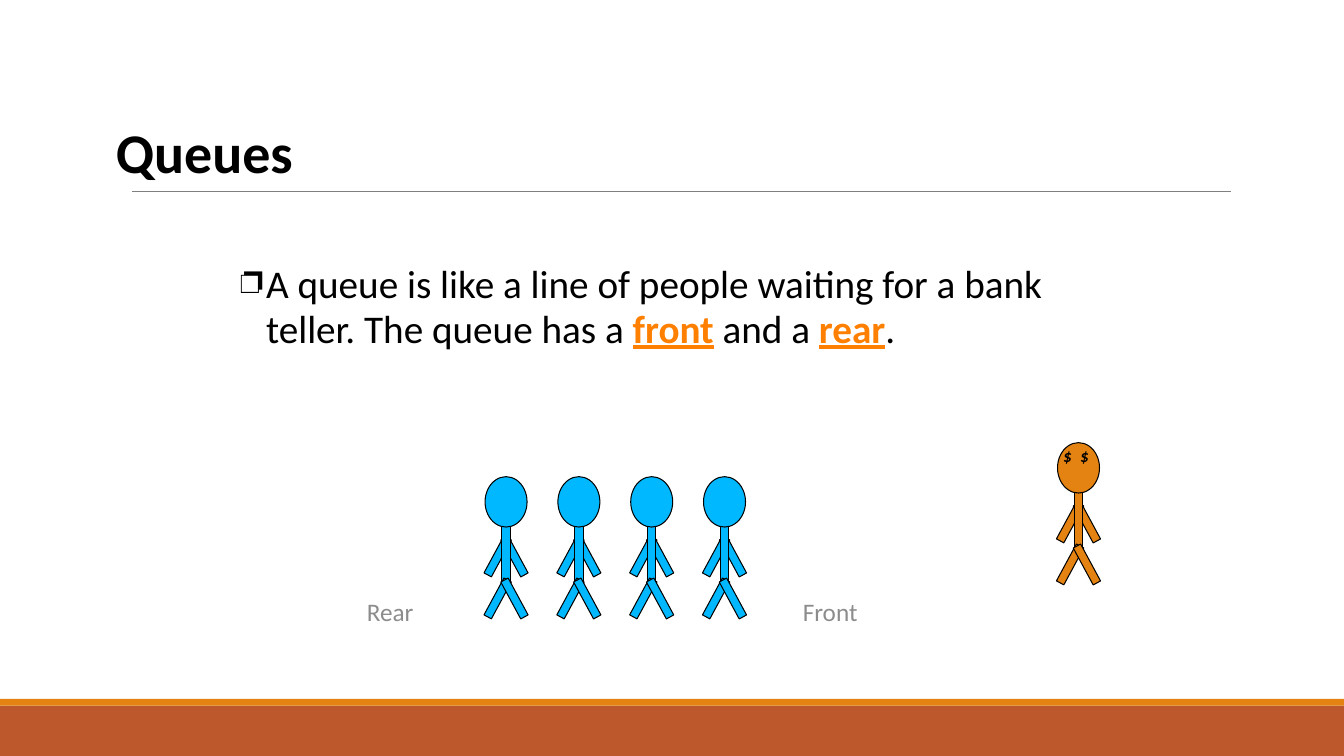
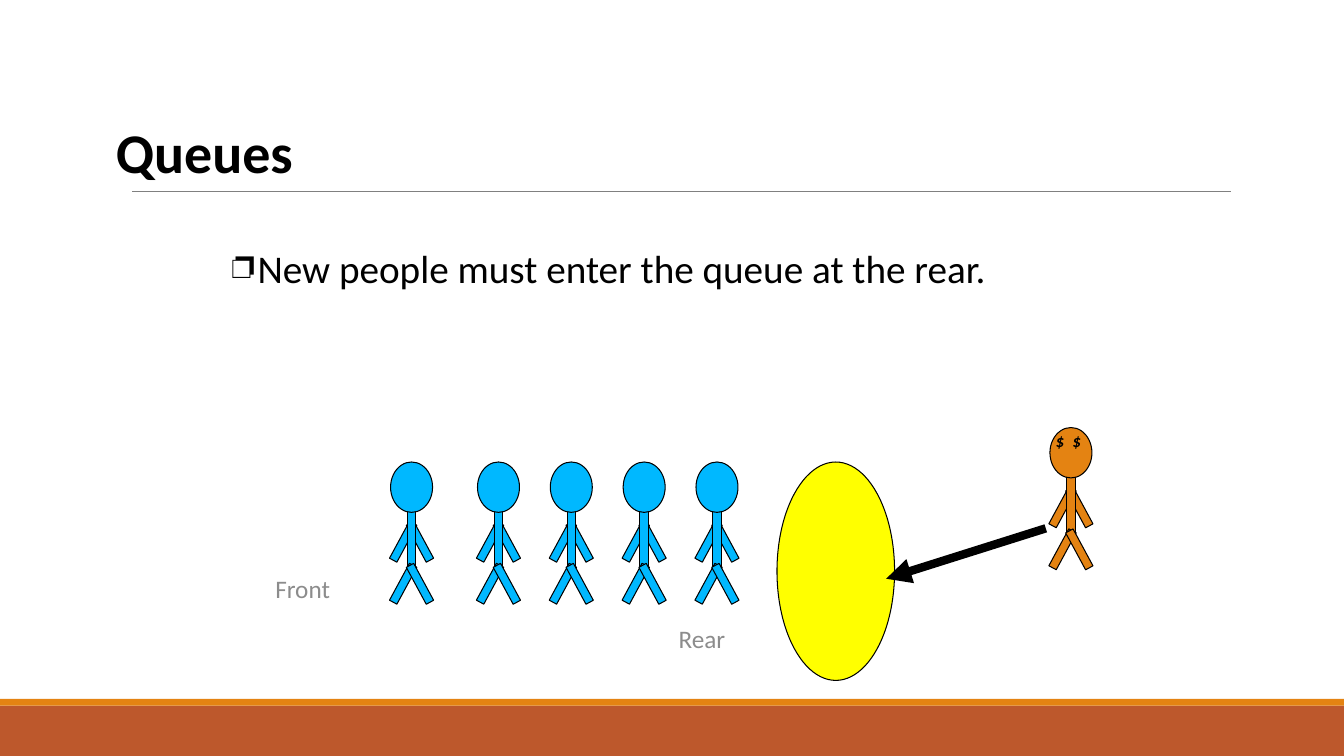
from lxml import etree
from pptx import Presentation, util as u
from pptx.dml.color import RGBColor
from pptx.enum import shapes, text
from pptx.oxml.ns import qn

# Grid of 160 columns by 90 rows; one cell is a twelfth of an inch
CELL = u.Inches(1) // 12
COLS, ROWS = 160, 90
RECT, OVAL = shapes.MSO_SHAPE.RECTANGLE, shapes.MSO_SHAPE.OVAL
hue = RGBColor.from_string
BLACK, GREY, RULE = "000000", "8C8C8C", "808080"
BLUE, GOLD, RUST, SUN, MARK = "00B8FF", "E48312", "BD582C", "FFFF00", "FF8000"

TITLE = {"size": u.Pt(40), "bold": True}
BODY = {"size": u.Pt(28)}
KEY = {"bold": True, "underline": True}
LABEL = {"size": u.Pt(18)}
EYES = {"size": u.Pt(12), "bold": True, "italic": True}

# Limbs, trunk and head, in cells from the head's top left corner
LEAN = 28.4
BONES = [
    (RECT, 1, 7, 1, 5, LEAN), (RECT, 3, 7, 1, 5, -LEAN),
    (RECT, 2, 5, 1, 8, 0), (OVAL, 0, 0, 5, 6, 0),
    (RECT, 1, 12, 1, 5, LEAN), (RECT, 3, 12, 1, 5, -LEAN),
]
STEP = 8.67

SLIDES = [
    {
        "body": (27.5, 30.7, 105, 12),
        "runs": [("A queue is like a line of people waiting for a bank teller. "
                  "The queue has a ", BLACK, {}), ("front", MARK, KEY),
                 (" and a ", BLACK, {}), ("rear", MARK, KEY), (".", BLACK, {})],
        "line": [57.75 + STEP * n for n in range(4)], "top": 56.75,
        "new": (125.9, 52.7),
        "tags": [("Front", 94.4, 70.7, 9.6), ("Rear", 42.5, 70.7, 8.3)],
    },
    {
        "body": (26.5, 28.9, 108, 24),
        "runs": [("New people must enter the queue at the rear.", BLACK, {})],
        "line": [46.5] + [56.85 + STEP * n for n in range(4)], "top": 55,
        "new": (125, 50.9),
        "tags": [("Front", 31.6, 67.9, 9.6), ("Rear", 79.6, 73.9, 8.3)],
        "spot": (92.5, 55, 14, 26),
        "arrow": (124.5, 62.9, 105.5, 68.9),
    },
]


def draw(place, kind, box, fill, edge=True):
    form = place.shapes.add_shape(kind, *[round(CELL * n) for n in box])
    form.shadow.inherit = False
    form.fill.solid()
    form.fill.fore_color.rgb = hue(fill)
    if edge:
        form.line.color.rgb = hue(BLACK)
        form.line.width = u.Pt(0.75)
    else:
        form.line.fill.background()
    return form


def write(place, box, runs, base, space=0.95, wrap=True):
    """Add a text box of (words, colour, format) runs; return its paragraph."""
    frame = place.shapes.add_textbox(*[round(CELL * n) for n in box]).text_frame
    frame.word_wrap = wrap
    para = frame.paragraphs[0]
    para.line_spacing = space
    for words, tint, extra in runs:
        run = para.add_run()
        run.text = words
        run.font.name = "Calibri"
        run.font.color.rgb = hue(tint)
        for name, value in {**base, **extra}.items():
            setattr(run.font, name, value)
    return para


deck = Presentation()
deck.slide_width, deck.slide_height = CELL * COLS, CELL * ROWS

for data in SLIDES:
    page = deck.slides.add_slide(deck.slide_layouts[6])
    draw(page, RECT, (0, 84, COLS, 6), RUST, edge=False)
    draw(page, RECT, (0, 83.2, COLS, 0.8), GOLD, edge=False)
    head = write(page, (12.6, 10.6, 134.8, 16), [("Queues", BLACK, {})], TITLE, 0.85)
    head._parent.vertical_anchor = text.MSO_ANCHOR.MIDDLE

    if "spot" in data:
        draw(page, OVAL, data["spot"], SUN)

    para = write(page, data["body"], data["runs"], BODY)
    props = para._p.get_or_add_pPr()
    props.set("marL", str(CELL * 3))
    props.set("indent", str(CELL * -3))
    etree.SubElement(props, qn("a:buChar")).set("char", "❐")

    crowd = [(left, data["top"], BLUE) for left in data["line"]]
    for left, top, tint in crowd + [(*data["new"], GOLD)]:
        man = page.shapes.add_group_shape()
        for kind, x, y, wide, high, turn in BONES:
            draw(man, kind, (left + x, top + y, wide, high), tint).rotation = turn
        if tint == GOLD:
            eyes = write(man, (left - 0.5, top, 6, 6), [("$\t$", BLACK, {})], EYES)
            tabs = etree.SubElement(eyes._p.get_or_add_pPr(), qn("a:tabLst"))
            stop = etree.SubElement(tabs, qn("a:tab"))
            stop.set("pos", str(CELL * 2))
            stop.set("algn", "l")

    lines = [((15.75, 22.8, 146.5, 22.8), RULE, 0.5)]
    if "arrow" in data:
        lines.append((data["arrow"], BLACK, 6))
    for ends, tint, width in lines:
        wire = page.shapes.add_connector(
            shapes.MSO_CONNECTOR.STRAIGHT, *[round(CELL * n) for n in ends])
        wire.line.color.rgb = hue(tint)
        wire.line.width = u.Pt(width)
        if ends == data.get("arrow"):
            tip = etree.SubElement(wire.line._get_or_add_ln(), qn("a:tailEnd"))
            tip.set("type", "triangle")
        etree.SubElement(wire._element.spPr, qn("a:effectLst"))

    for word, left, top, wide in data["tags"]:
        write(page, (left, top, wide, 4.7), [(word, GREY, {})], LABEL, wrap=False)

deck.save("out.pptx")
